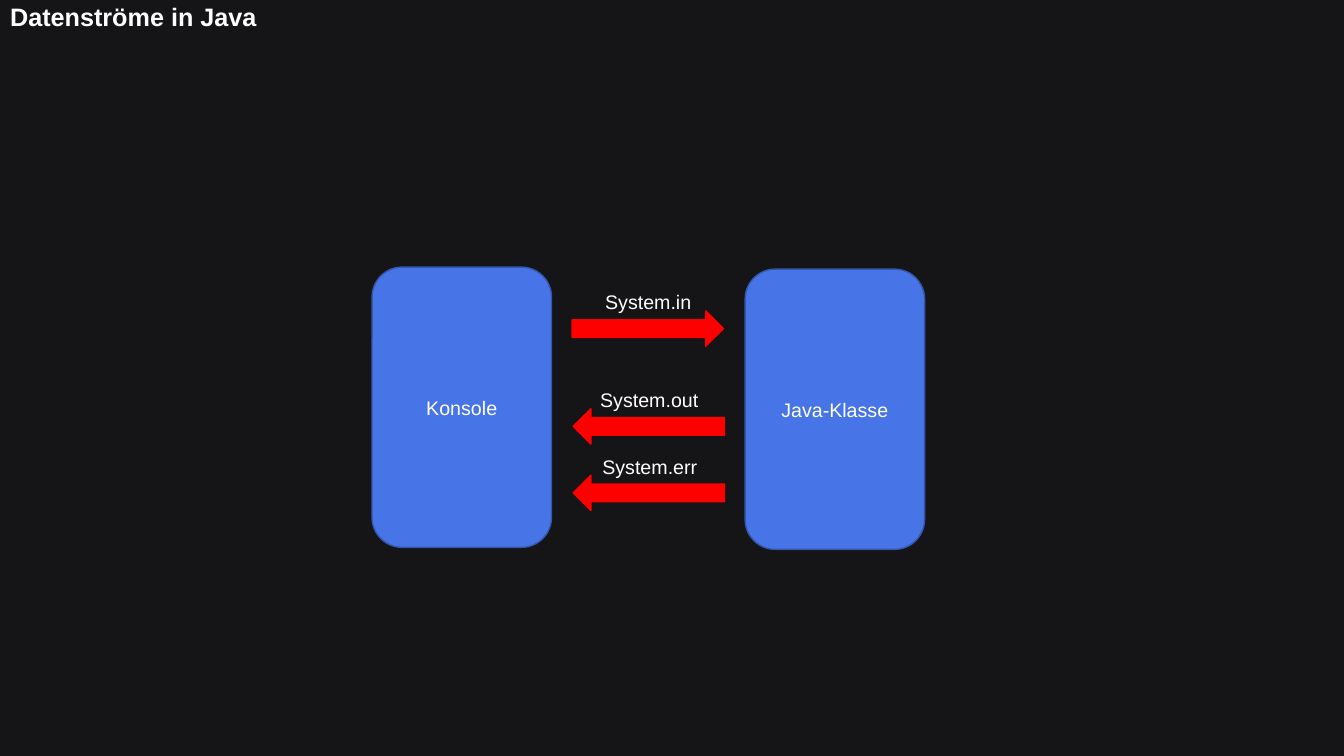
from dataclasses import dataclass

from pptx import Presentation
from pptx.dml.color import RGBColor
from pptx.enum.shapes import MSO_SHAPE
from pptx.enum.text import MSO_ANCHOR, MSO_AUTO_SIZE, PP_ALIGN
from pptx.util import Inches, Pt


@dataclass(frozen=True)
class Theme:
    background: RGBColor = RGBColor(0x15, 0x15, 0x17)
    text: RGBColor = RGBColor(0xFF, 0xFF, 0xFF)
    node: RGBColor = RGBColor(0x47, 0x75, 0xE7)
    node_line: RGBColor = RGBColor(0x35, 0x57, 0xAB)
    arrow: RGBColor = RGBColor(0xFF, 0x00, 0x00)
    font: str = "Arial"
    title_size: Pt = Pt(18)
    body_size: Pt = Pt(14)
    line_width: Pt = Pt(1)


THEME = Theme()
TITLE_ONLY = 5
POINT_RIGHT, POINT_LEFT = 270, 90

# Label, label left, label top, label width, arrow left, arrow rotation
STREAMS = [
    ("System.in", 5.9, 2.83, 1.06, 6.25, POINT_RIGHT),
    ("System.out", 5.85, 3.8, 1.18, 6.26, POINT_LEFT),
    ("System.err", 5.87, 4.46, 1.15, 6.26, POINT_LEFT),
]
ARROW_RISE = 0.32  # from a label's top up to its unrotated arrow's top


def write(para, text, size=THEME.body_size, bold=False, align=PP_ALIGN.CENTER):
    para.alignment = align
    span = para.add_run()
    span.text = text
    span.font.name = THEME.font
    span.font.size = size
    span.font.bold = bold
    span.font.color.rgb = THEME.text


def set_title(page, text):
    title = page.shapes.title
    title.left, title.top = Inches(0), Inches(0)
    title.width, title.height = Inches(13.33), Inches(0.37)
    frame = title.text_frame
    frame.auto_size = MSO_AUTO_SIZE.NONE
    frame.vertical_anchor = MSO_ANCHOR.MIDDLE
    para = frame.paragraphs[0]
    para.line_spacing = 0.9
    write(para, text, THEME.title_size, bold=True, align=PP_ALIGN.LEFT)


def add_filled_shape(page, kind, left, top, width, height, fill, line):
    shape = page.shapes.add_shape(
        kind, Inches(left), Inches(top), Inches(width), Inches(height))
    shape.shadow.inherit = False
    shape.fill.solid()
    shape.fill.fore_color.rgb = fill
    shape.line.color.rgb = line
    shape.line.width = THEME.line_width
    return shape


def add_node(page, text, left, top):
    node = add_filled_shape(page, MSO_SHAPE.ROUNDED_RECTANGLE, left, top,
                            1.78, 2.78, THEME.node, THEME.node_line)
    node.text_frame.vertical_anchor = MSO_ANCHOR.MIDDLE
    write(node.text_frame.paragraphs[0], text)


def add_label(page, text, left, top, width):
    box = page.shapes.add_textbox(
        Inches(left), Inches(top), Inches(width), Inches(0.34))
    box.text_frame.word_wrap = False
    box.text_frame.auto_size = MSO_AUTO_SIZE.SHAPE_TO_FIT_TEXT
    write(box.text_frame.paragraphs[0], text)


def add_arrow(page, left, top, rotation):
    arrow = add_filled_shape(page, MSO_SHAPE.DOWN_ARROW, left, top,
                             0.35, 1.5, THEME.arrow, THEME.arrow)
    arrow.rotation = rotation


def main():
    deck = Presentation()
    deck.slide_width, deck.slide_height = Inches(13.33), Inches(7.5)
    page = deck.slides.add_slide(deck.slide_layouts[TITLE_ONLY])
    page.background.fill.solid()
    page.background.fill.fore_color.rgb = THEME.background

    # Title
    set_title(page, "Datenströme in Java")

    # Both ends of the streams
    add_node(page, "Konsole", 3.69, 2.65)
    add_node(page, "Java-Klasse", 7.39, 2.67)

    # Streams between them
    for text, left, top, width, arrow_left, rotation in STREAMS:
        add_label(page, text, left, top, width)
        add_arrow(page, arrow_left, top - ARROW_RISE, rotation)

    deck.save("out.pptx")


if __name__ == "__main__":
    main()
